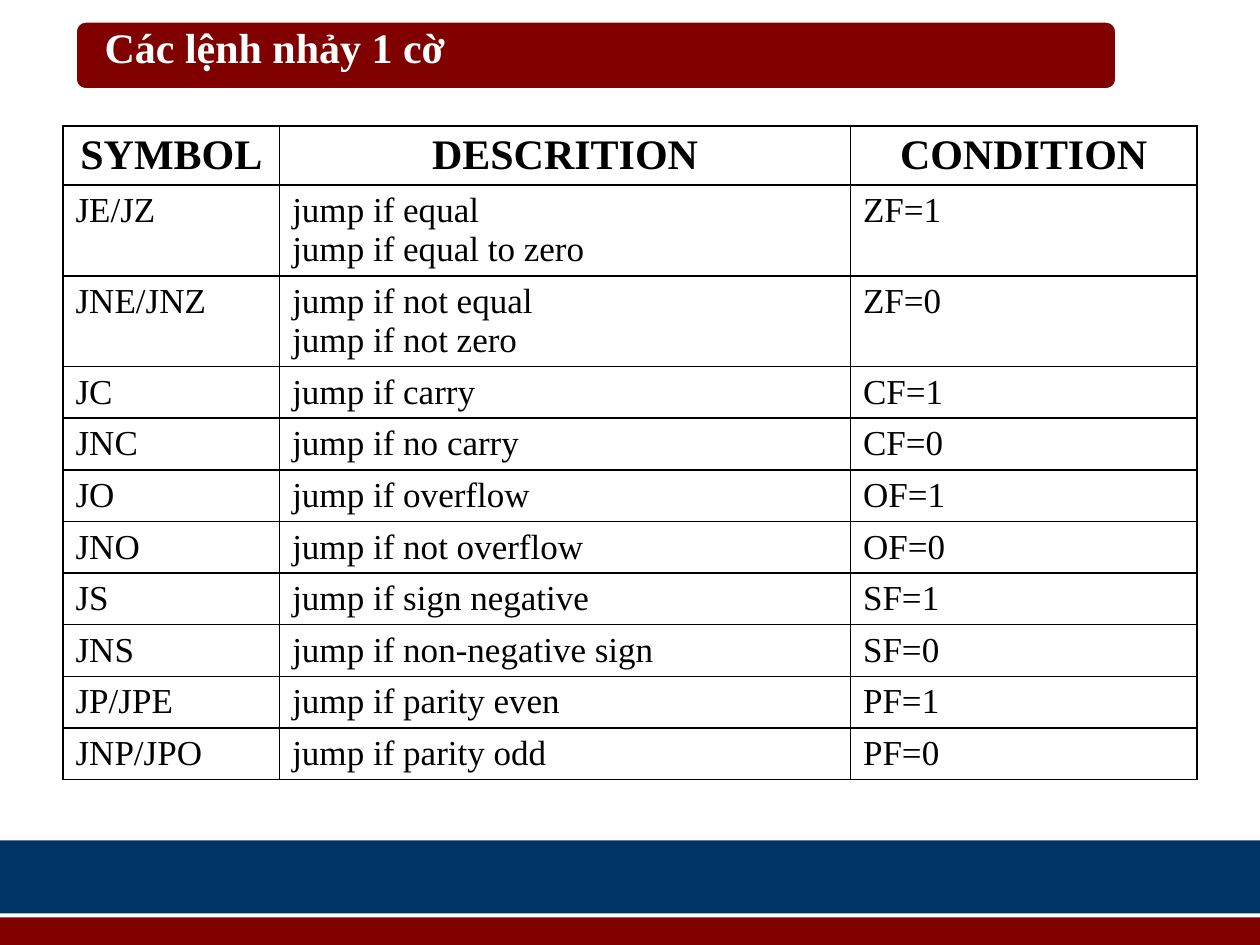
from lxml import etree
from pptx import Presentation
from pptx.dml.color import RGBColor
from pptx.enum.shapes import MSO_SHAPE
from pptx.enum.text import MSO_ANCHOR, MSO_AUTO_SIZE, PP_ALIGN
from pptx.oxml.ns import qn
from pptx.util import Inches, Pt

RECTANGLE = MSO_SHAPE.RECTANGLE
ROUNDED = MSO_SHAPE.ROUNDED_RECTANGLE
LEFT, CENTER = PP_ALIGN.LEFT, PP_ALIGN.CENTER
TOP = MSO_ANCHOR.TOP
TITLE_ONLY = 5

FONT = "Times New Roman"
COLORS = {"maroon": "800000", "navy": "003366", "white": "FFFFFF", "black": "000000"}

HEADERS = ["SYMBOL", "DESCRITION", "CONDITION"]
JUMPS = [
    ("JE/JZ", ["jump if equal", "jump if equal to zero"], "ZF=1"),
    ("JNE/JNZ", ["jump if not equal", "jump if not zero"], "ZF=0"),
    ("JC", ["jump if carry"], "CF=1"),
    ("JNC", ["jump if no carry"], "CF=0"),
    ("JO", ["jump if overflow"], "OF=1"),
    ("JNO", ["jump if not overflow"], "OF=0"),
    ("JS", ["jump if sign negative"], "SF=1"),
    ("JNS", ["jump if non-negative sign"], "SF=0"),
    ("JP/JPE", ["jump if parity even"], "PF=1"),
    ("JNP/JPO", ["jump if parity odd"], "PF=0"),
]
COLUMN_WIDTHS = [1.72, 4.53, 2.75]
HEADER_HEIGHT = 0.47
ROW_HEIGHTS = {1: 0.41, 2: 0.72}  # by number of text lines


def color(name):
    return RGBColor.from_string(COLORS[name])


def add_run(paragraph, text, size, color_name, bold=False):
    run = paragraph.add_run()
    run.text = text
    run.font.name = FONT
    run.font.size = Pt(size)
    run.font.bold = bold
    run.font.color.rgb = color(color_name)


def add_band(slide, kind, left, top, width, height, fill):
    shape = slide.shapes.add_shape(
        kind, Inches(left), Inches(top), Inches(width), Inches(height))
    shape.shadow.inherit = False
    shape.fill.solid()
    shape.fill.fore_color.rgb = color(fill)
    shape.line.fill.background()
    return shape


def add_title(slide, left, top, width, height):
    """Draw the rounded banner and lay the title placeholder over it."""
    banner = add_band(slide, ROUNDED, left, top, width, height, "maroon")
    banner.adjustments[0] = 0.16
    banner.line.color.rgb = color("white")
    banner.line.width = Pt(3)

    title = slide.shapes.title
    banner.element.addnext(title.element)
    title.left, title.top = Inches(left + 0.24), Inches(top + 0.01)
    title.width, title.height = Inches(9), Inches(1.25)
    frame = title.text_frame
    frame.auto_size = MSO_AUTO_SIZE.NONE
    frame.word_wrap = True
    frame.vertical_anchor = TOP
    frame.margin_left = frame.margin_right = 0
    frame.margin_top = frame.margin_bottom = 0
    paragraph = frame.paragraphs[0]
    paragraph.alignment = LEFT
    add_run(paragraph, "Các lệnh nhảy 1 cờ", 24, "white", bold=True)


def add_footer(slide, left, top, width, height):
    add_band(slide, RECTANGLE, left, top, width, 0.58, "navy")
    add_band(slide, RECTANGLE, left, top + height - 0.22, width, 0.22, "maroon")


def set_borders(cell):
    properties = cell._tc.get_or_add_tcPr()
    for index, side in enumerate(("a:lnL", "a:lnR", "a:lnT", "a:lnB")):
        line = etree.Element(qn(side), w=str(Pt(1)))
        fill = etree.SubElement(line, qn("a:solidFill"))
        etree.SubElement(fill, qn("a:srgbClr"), val=COLORS["black"])
        properties.insert(index, line)


def fill_cell(cell, lines, size, alignment, bold):
    cell.fill.background()
    set_borders(cell)
    cell.vertical_anchor = TOP
    frame = cell.text_frame
    for index, text in enumerate(lines):
        paragraph = frame.add_paragraph() if index else frame.paragraphs[0]
        paragraph.alignment = alignment
        add_run(paragraph, text, size, "black", bold)


def add_jump_table(slide, left, top):
    heights = [HEADER_HEIGHT] + [ROW_HEIGHTS[len(lines)] for _, lines, _ in JUMPS]
    table = slide.shapes.add_table(
        len(heights), len(HEADERS), Inches(left), Inches(top),
        Inches(sum(COLUMN_WIDTHS)), Inches(sum(heights))).table
    table.horz_banding = False
    table.first_row = False
    for column, width in zip(table.columns, COLUMN_WIDTHS):
        column.width = Inches(width)
    for row, height in zip(table.rows, heights):
        row.height = Inches(height)

    for column, header in enumerate(HEADERS):
        fill_cell(table.cell(0, column), [header], 24, CENTER, bold=True)
    for row, (symbol, description, condition) in enumerate(JUMPS, start=1):
        for column, lines in enumerate(([symbol], description, [condition])):
            fill_cell(table.cell(row, column), lines, 20, LEFT, bold=False)


def main():
    presentation = Presentation()
    presentation.slide_width = Inches(10)
    presentation.slide_height = Inches(7.5)
    slide = presentation.slides.add_slide(presentation.slide_layouts[TITLE_ONLY])
    add_footer(slide, 0, 6.67, 10, 0.83)
    add_title(slide, 0.59, 0.16, 8.28, 0.56)
    add_jump_table(slide, 0.5, 1)
    presentation.save("out.pptx")


if __name__ == "__main__":
    main()
